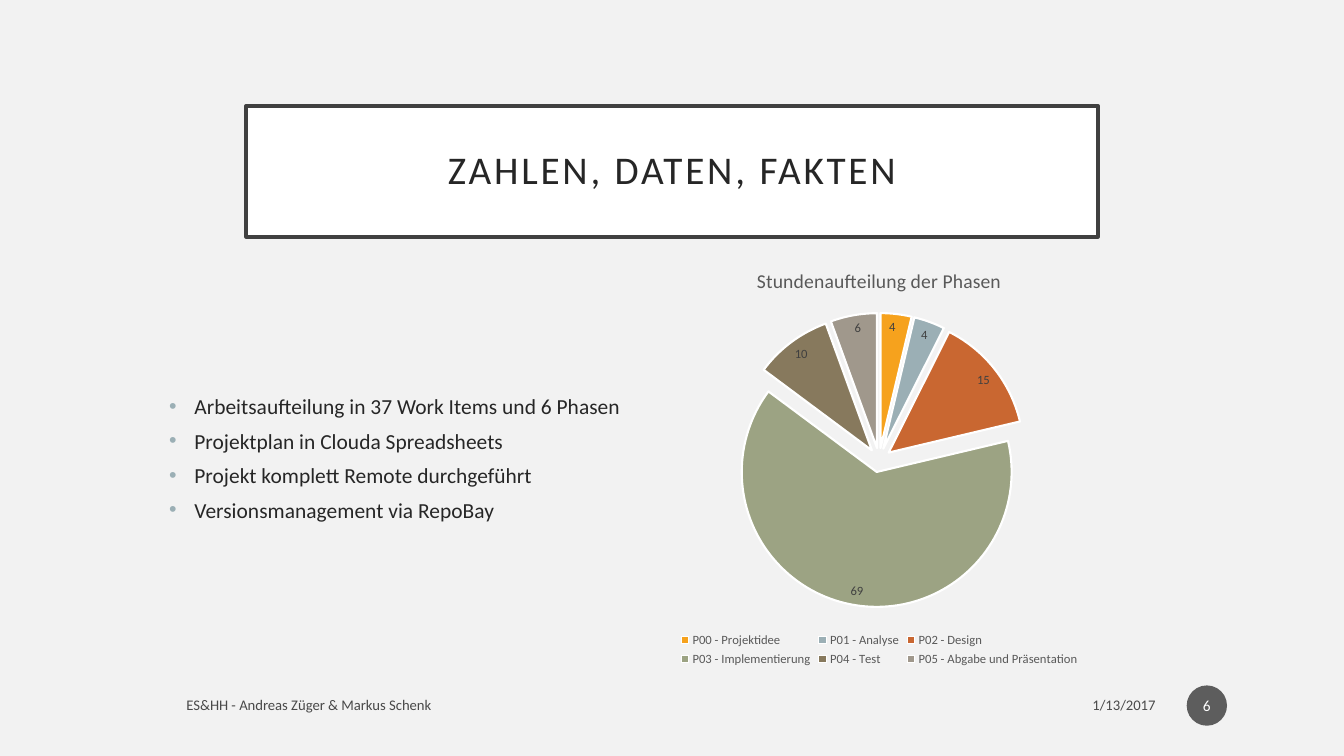
from lxml.etree import SubElement
from pptx import Presentation
from pptx.chart.data import CategoryChartData
from pptx.dml.color import RGBColor
from pptx.enum.chart import XL_CHART_TYPE as ChartType, XL_LABEL_POSITION as LabelAt, XL_LEGEND_POSITION as LegendAt
from pptx.enum.shapes import MSO_SHAPE as Preset
from pptx.enum.text import MSO_ANCHOR as Anchor, PP_ALIGN as Align
from pptx.oxml import parse_xml
from pptx.oxml.ns import nsdecls, qn
from pptx.util import Inches, Pt

FONT = "Calibri"
WHITE = RGBColor(0xFF, 0xFF, 0xFF)
PAPER = RGBColor(0xF2, 0xF2, 0xF2)
INK = RGBColor(0x26, 0x26, 0x26)
FRAME = RGBColor(0x40, 0x40, 0x40)
FOOTER = RGBColor(0x49, 0x49, 0x49)
BADGE = RGBColor(0x5D, 0x5D, 0x5D)
CAPTION = RGBColor(0x59, 0x59, 0x59)

phases = [
    ("P00 - Projektidee", 4, RGBColor(0xF6, 0xA2, 0x1D)),
    ("P01 - Analyse", 4, RGBColor(0x9B, 0xAF, 0xB5)),
    ("P02 - Design", 15, RGBColor(0xC9, 0x67, 0x31)),
    ("P03 - Implementierung", 69, RGBColor(0x9C, 0xA3, 0x83)),
    ("P04 - Test", 10, RGBColor(0x87, 0x79, 0x5D)),
    ("P05 - Abgabe und Präsentation", 6, RGBColor(0xA0, 0x98, 0x8C)),
]
facts = [
    "Arbeitsaufteilung in 37 Work Items und 6 Phasen",
    "Projektplan in Clouda Spreadsheets",
    "Projekt komplett Remote durchgeführt",
    "Versionsmanagement via RepoBay",
]


def style(font, size, color):
    font.name = FONT
    font.size = Pt(size)
    font.bold = False
    font.color.rgb = color


def write(shape, lines, size, color, align, anchor=Anchor.MIDDLE):
    frame = shape.text_frame
    frame.word_wrap = True
    frame.vertical_anchor = anchor
    frame.text = "\n".join(lines)
    for paragraph in frame.paragraphs:
        paragraph.alignment = align
        style(paragraph.font, size, color)
    return frame


deck = Presentation()
deck.slide_width, deck.slide_height = Inches(13.33), Inches(7.5)
slide = deck.slides.add_slide(deck.slide_layouts[6])
slide.background.fill.solid()
slide.background.fill.fore_color.rgb = PAPER
shapes = slide.shapes

heading = shapes.add_shape(Preset.RECTANGLE, Inches(2.44), Inches(1.05), Inches(8.45), Inches(1.3))
heading.shadow.inherit = False
heading.fill.solid()
heading.fill.fore_color.rgb = WHITE
heading.line.color.rgb = FRAME
heading.line.width = Pt(2.5)
heading_line = write(heading, ["ZAHLEN, DATEN, FAKTEN"], 28, INK, Align.CENTER).paragraphs[0]
heading_line.line_spacing = 0.9
heading_line.runs[0].font._element.set("spc", "200")

fact_list = shapes.add_textbox(Inches(1.58), Inches(3.9), Inches(4.7), Inches(1.32))
for fact in write(fact_list, facts, 15.3, INK, Align.LEFT, Anchor.TOP).paragraphs:
    fact.line_spacing = 0.8
    fact.space_before = Pt(10)
    props = fact._p.get_or_add_pPr()
    props.set("marL", str(Inches(0.25)))
    props.set("indent", str(-Inches(0.25)))
    bullets = [
        parse_xml(f'<a:buClr {nsdecls("a")}><a:srgbClr val="9BAFB5"/></a:buClr>'),
        parse_xml(f'<a:buFont {nsdecls("a")} typeface="Arial"/>'),
        parse_xml(f'<a:buChar {nsdecls("a")} char="•"/>'),
    ]
    for place, bullet in enumerate(bullets, props.index(props.find(qn("a:defRPr")))):
        props.insert(place, bullet)

for text, left, width, align in [
    ("1/13/2017", 8.55, 3.01, Align.RIGHT),
    ("ES&HH - Andreas Züger & Markus Schenk", 1.75, 6.45, Align.LEFT),
]:
    note = shapes.add_textbox(Inches(left), Inches(6.82), Inches(width), Inches(0.35))
    write(note, [text], 10.5, FOOTER, align)

page = shapes.add_shape(Preset.OVAL, Inches(11.77), Inches(6.8), Inches(0.4), Inches(0.4))
page.shadow.inherit = False
page.fill.solid()
page.fill.fore_color.rgb = BADGE
page.line.fill.background()
page_text = write(page, ["6"], 11, WHITE, Align.CENTER)
page_text.margin_left = page_text.margin_right = Inches(0.02)

hours = CategoryChartData()
hours.categories = [name for name, value, color in phases]
hours.add_series("Series 1", [value for name, value, color in phases])
pie = shapes.add_chart(
    ChartType.PIE_EXPLODED, Inches(5.68), Inches(2.48), Inches(6.08), Inches(4.17), hours
).chart
style(pie.font, 10, CAPTION)
pie.has_title = True
pie.chart_title.include_in_layout = False
pie.chart_title.text_frame.text = "Stundenaufteilung der Phasen"
style(pie.chart_title.text_frame.paragraphs[0].font, 14, CAPTION)
pie.has_legend = True
pie.legend.position = LegendAt.BOTTOM
pie.legend.include_in_layout = False
style(pie.legend.font, 9, CAPTION)

plot = pie.plots[0]
plot.vary_by_categories = True
plot.has_data_labels = True
plot.data_labels.show_value = True
plot.data_labels.show_percentage = False
plot.data_labels.position = LabelAt.INSIDE_END
style(plot.data_labels.font, 9, FRAME)
series = plot.series[0]
for index, (name, value, color) in enumerate(phases):
    slice_format = series.points[index].format
    slice_format.fill.solid()
    slice_format.fill.fore_color.rgb = color
    slice_format.line.color.rgb = WHITE
    slice_format.line.width = Pt(1.5)
for explosion in series._element.iter(qn("c:explosion")):
    explosion.set("val", "9")

plot_area = pie._chartSpace.chart.plotArea
for old_layout in plot_area.findall(qn("c:layout")):
    plot_area.remove(old_layout)
layout = parse_xml(f'<c:layout {nsdecls("c")}/>')
plot_area.insert(0, layout)
manual = SubElement(layout, qn("c:manualLayout"))
for tag, value in [
    ("layoutTarget", "inner"), ("xMode", "edge"), ("yMode", "edge"),
    ("x", "0.26"), ("y", "0.15"), ("w", "0.48"), ("h", "0.7"),
]:
    SubElement(manual, qn(f"c:{tag}")).set("val", value)

deck.save("out.pptx")
